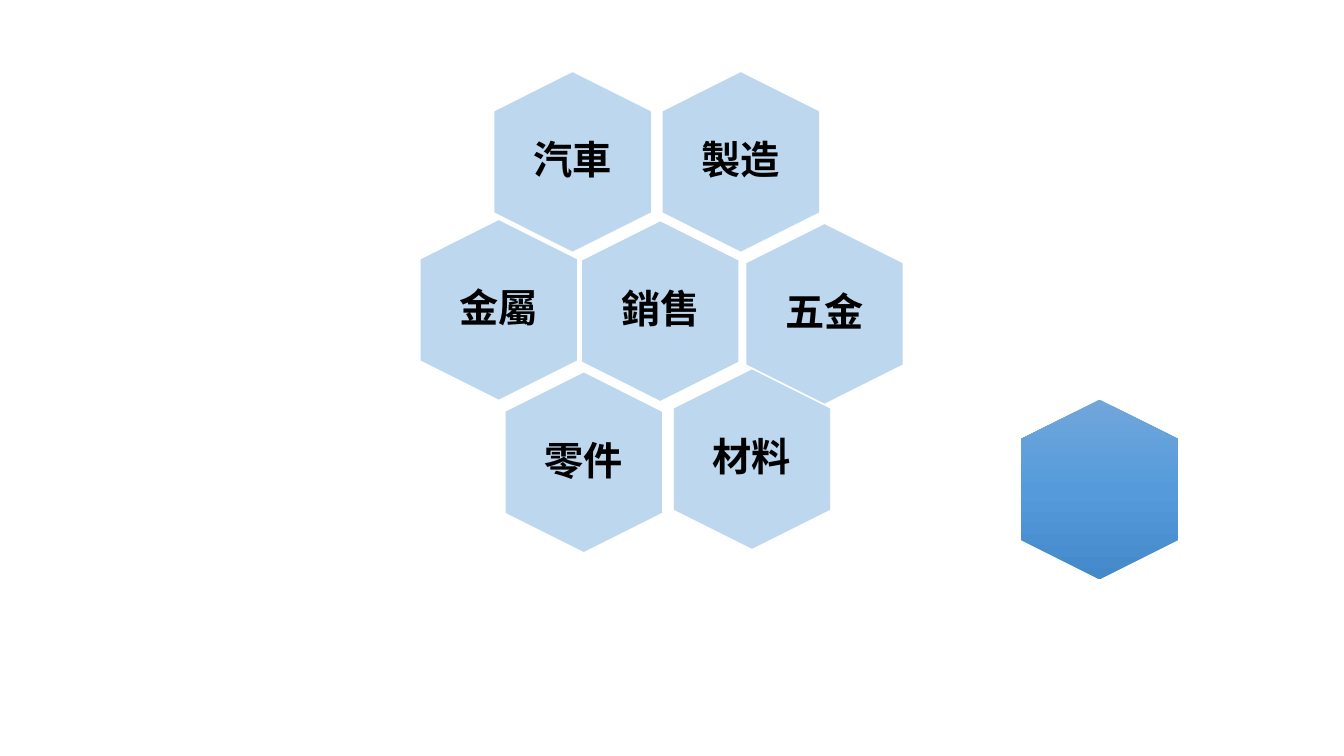
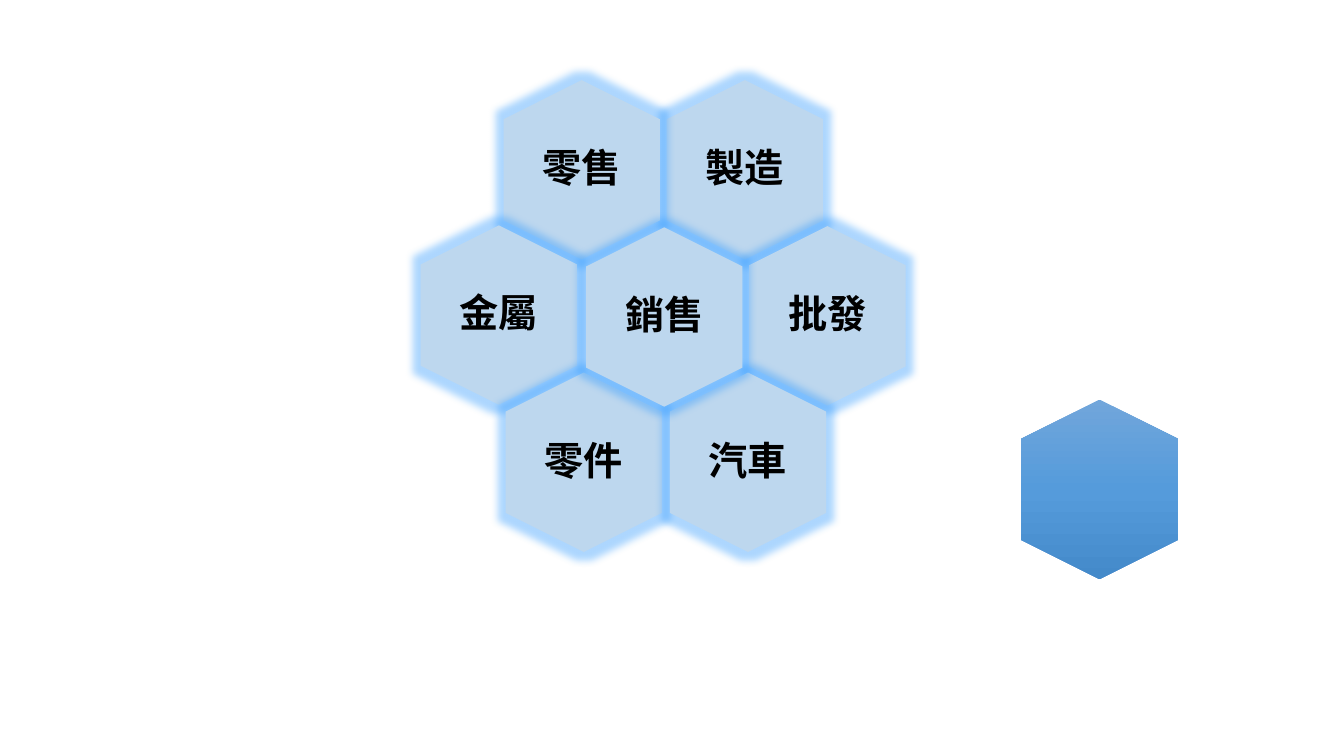
from lxml.etree import SubElement
from pptx import Presentation
from pptx.dml.color import RGBColor
from pptx.enum.shapes import MSO_SHAPE as Preset
from pptx.enum.text import MSO_ANCHOR as Anchor, PP_ALIGN as Align
from pptx.oxml.ns import qn
from pptx.util import Cm, Pt


def rgb(hex_code):
    """Turn a hex string into a colour."""
    return RGBColor.from_string(hex_code)


class Honeycomb:
    """Holds the shared style and the slide being built."""

    font, text_size, ink = "Noto Sans CJK SC", 28, "000000"
    cell_fill = "BDD7EE"
    spare_stops = ((0, "71A6DB"), (50, "559BDB"), (100, "448ACA"))
    glow_colour, glow_opacity, glow_radius = "329BFF", 40, 11
    cell_height, cell_width = 4.52, 3.94
    label_width, label_height = 2.7, 3.1

    def __init__(self):
        """Start a widescreen presentation."""
        self.deck = Presentation()
        self.deck.slide_width, self.deck.slide_height = Cm(33.87), Cm(19.05)
        self.slide = None

    def new_slide(self):
        """Add a blank slide and make it current."""
        self.slide = self.deck.slides.add_slide(self.deck.slide_layouts[6])

    def hexagon(self, x, y):
        """Draw an upright hexagon centred on x, y."""
        long_side, short_side = self.cell_height, self.cell_width
        cell = self.slide.shapes.add_shape(
            Preset.HEXAGON, Cm(x - long_side / 2), Cm(y - short_side / 2),
            Cm(long_side), Cm(short_side))
        cell.rotation = 90
        cell.shadow.inherit = False
        cell.fill.solid()
        cell.fill.fore_color.rgb = rgb(self.cell_fill)
        cell.line.fill.background()
        return cell

    def glow(self, cell):
        """Give a hexagon a soft coloured halo."""
        effects = cell._element.spPr.find(qn("a:effectLst"))
        halo = SubElement(effects, qn("a:glow"), rad=str(Pt(self.glow_radius)))
        tint = SubElement(halo, qn("a:srgbClr"), val=self.glow_colour)
        SubElement(tint, qn("a:alpha"), val=str(self.glow_opacity * 1000))

    def label(self, x, y, word):
        """Write a bold word centred on x, y."""
        box = self.slide.shapes.add_textbox(
            Cm(x - self.label_width / 2), Cm(y - self.label_height / 2),
            Cm(self.label_width), Cm(self.label_height))
        frame = box.text_frame
        frame.word_wrap = True
        frame.vertical_anchor = Anchor.MIDDLE
        frame.margin_left = frame.margin_right = Cm(0)
        frame.margin_top = frame.margin_bottom = Cm(0)
        line = frame.paragraphs[0]
        line.alignment = Align.CENTER
        line.line_spacing = 0.9
        line.space_after = Pt(self.text_size * 0.35)
        run = line.add_run()
        run.text = word
        run.font.name, run.font.size = self.font, Pt(self.text_size)
        run.font.bold = True
        run.font.color.rgb = rgb(self.ink)
        SubElement(run.font._element, qn("a:ea"), typeface=self.font)

    def spare_cell(self, x, y):
        """Draw the wordless hexagon, shaded from top to bottom."""
        cell = self.hexagon(x, y)
        cell.fill.gradient()
        shading = cell._element.spPr.find(qn("a:gradFill"))
        shading.set("rotWithShape", "0")
        for part in list(shading):
            shading.remove(part)
        stops = SubElement(shading, qn("a:gsLst"))
        for percent, colour in self.spare_stops:
            stop = SubElement(stops, qn("a:gs"), pos=str(percent * 1000))
            SubElement(stop, qn("a:srgbClr"), val=colour)
        SubElement(shading, qn("a:lin"), ang="5400000", scaled="0")

    def cell(self, x, y, word, glowing):
        """Draw a hexagon with its word."""
        hexagon = self.hexagon(x, y)
        if glowing:
            self.glow(hexagon)
        self.label(x, y, word)

    def comb(self, outer_cells, centre_cell, glowing=False):
        """Build one slide: outer ring, spare cell, then the centre on top."""
        self.new_slide()
        for place in outer_cells:
            self.cell(*place, glowing)
        self.spare_cell(27.71, 12.33)
        self.cell(*centre_cell, glowing)


honeycomb = Honeycomb()
honeycomb.comb(
    [(18.67, 4.08, "製造"), (14.43, 4.08, "汽車"),
     (12.57, 7.81, "金屬"), (20.78, 7.91, "五金"),
     (14.71, 11.65, "零件"), (18.95, 11.57, "材料")],
    (16.64, 7.84, "銷售"))
honeycomb.comb(
    [(18.77, 4.28, "製造"), (14.66, 4.28, "零售"),
     (12.57, 7.94, "金屬"), (20.85, 7.96, "批發"),
     (14.71, 11.65, "零件"), (18.85, 11.65, "汽車")],
    (16.74, 7.99, "銷售"), glowing=True)
honeycomb.deck.save("out.pptx")
